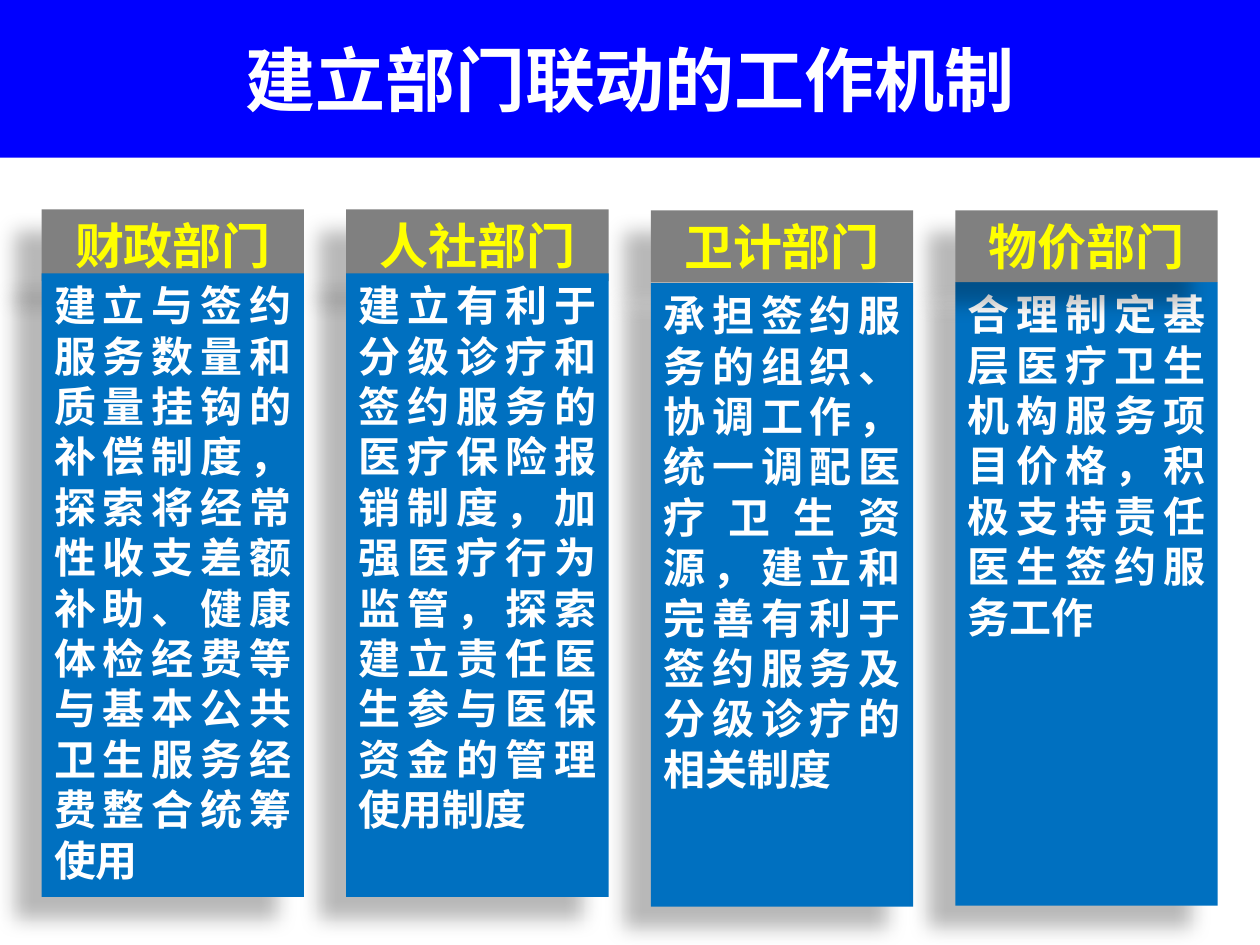
from dataclasses import dataclass
from lxml.etree import SubElement
from pptx import Presentation
from pptx.dml.color import RGBColor
from pptx.enum.shapes import MSO_SHAPE as Preset
from pptx.enum.text import MSO_ANCHOR as Anchor, MSO_AUTO_SIZE as Fit, PP_ALIGN as Align
from pptx.oxml.ns import qn
from pptx.slide import Slide
from pptx.util import Cm, Pt

COLUMN_LEFT, COLUMN_STEP, COLUMN_WIDTH = 0.84, 6.14, 5.29
HEADER_HEIGHT, DUTY_HEIGHT = 1.45, 12.57

DEPARTMENTS = [
    (2, "卫计部门", 4.24, 5.71,
     "承担签约服务的组织、协调工作，统一调配医疗卫生资源，建立和完善有利于签约服务及分级诊疗的相关制度"),
    (1, "人社部门", 4.22, 5.51,
     "建立有利于分级诊疗和签约服务的医疗保险报销制度，加强医疗行为监管，探索建立责任医生参与医保资金的管理使用制度"),
    (3, "物价部门", 4.24, 5.69,
     "合理制定基层医疗卫生机构服务项目价格，积极支持责任医生签约服务工作"),
    (0, "财政部门", 4.22, 5.51,
     "建立与签约服务数量和质量挂钩的补偿制度，探索将经常性收支差额补助、健康体检经费等与基本公共卫生服务经费整合统筹使用"),
]


def color(code):
    return RGBColor.from_string(code)


def assign(target, values):
    for key, value in values.items():
        setattr(target, key, value)


@dataclass
class Board:
    slide: Slide
    typeface: str = "Noto Sans CJK SC"
    line_ratio: float = 1.2

    def panel(self, text, box, fill, ink, size, align, anchor=Anchor.TOP, fit=Fit.NONE):
        panel = self.slide.shapes.add_shape(Preset.RECTANGLE, *map(Cm, box))
        panel.shadow.inherit = False
        panel.fill.solid()
        panel.fill.fore_color.rgb = color(fill)
        panel.line.fill.background()
        frame = panel.text_frame
        assign(frame, {"word_wrap": True, "auto_size": fit, "vertical_anchor": anchor,
                       "margin_top": Cm(0.13), "margin_bottom": Cm(0.13)})
        paragraph = frame.paragraphs[0]
        assign(paragraph, {"alignment": align, "line_spacing": Pt(size * self.line_ratio)})
        paragraph._p.get_or_add_pPr().set("hangingPunct", "0")
        run = paragraph.add_run()
        run.text = text
        assign(run.font, {"name": self.typeface, "size": Pt(size), "bold": True})
        run.font.color.rgb = color(ink)
        SubElement(run.font._element, qn("a:ea"), typeface=self.typeface)
        return panel

    def cast_shadow(self, panel):
        effects = panel._element.spPr.find(qn("a:effectLst"))
        shadow = SubElement(effects, qn("a:outerShdw"), blurRad=str(Pt(11.8)),
                            dist=str(Pt(19.7)), dir=str(141 * 60000),
                            algn="tr", rotWithShape="0")
        tint = SubElement(shadow, qn("a:srgbClr"), val="000000")
        SubElement(tint, qn("a:alpha"), val="28000")

    def title(self, text):
        self.panel(text, (0, 0, 25.4, 3.18), "0000FF", "FFFFFF", 40,
                   Align.CENTER, Anchor.MIDDLE)

    def header(self, text, left, top):
        box = (left, top, COLUMN_WIDTH, HEADER_HEIGHT)
        self.cast_shadow(self.panel(text, box, "808080", "FFFF00", 28,
                                    Align.CENTER, fit=Fit.SHAPE_TO_FIT_TEXT))

    def duty(self, text, left, top):
        box = (left, top, COLUMN_WIDTH, DUTY_HEIGHT)
        self.cast_shadow(self.panel(text, box, "0070C0", "FFFFFF", 24,
                                    Align.JUSTIFY, fit=Fit.SHAPE_TO_FIT_TEXT))


def main():
    deck = Presentation()
    assign(deck, {"slide_width": Cm(25.4), "slide_height": Cm(19.05)})
    board = Board(deck.slides.add_slide(deck.slide_layouts[6]))
    board.title("建立部门联动的工作机制")
    for column, department, header_top, duty_top, duties in DEPARTMENTS:
        left = COLUMN_LEFT + column * COLUMN_STEP
        layers = [(board.header, department, header_top), (board.duty, duties, duty_top)]
        if department == "物价部门":
            layers.reverse()
        for draw, text, top in layers:
            draw(text, left, top)
    deck.save("out.pptx")


if __name__ == "__main__":
    main()
